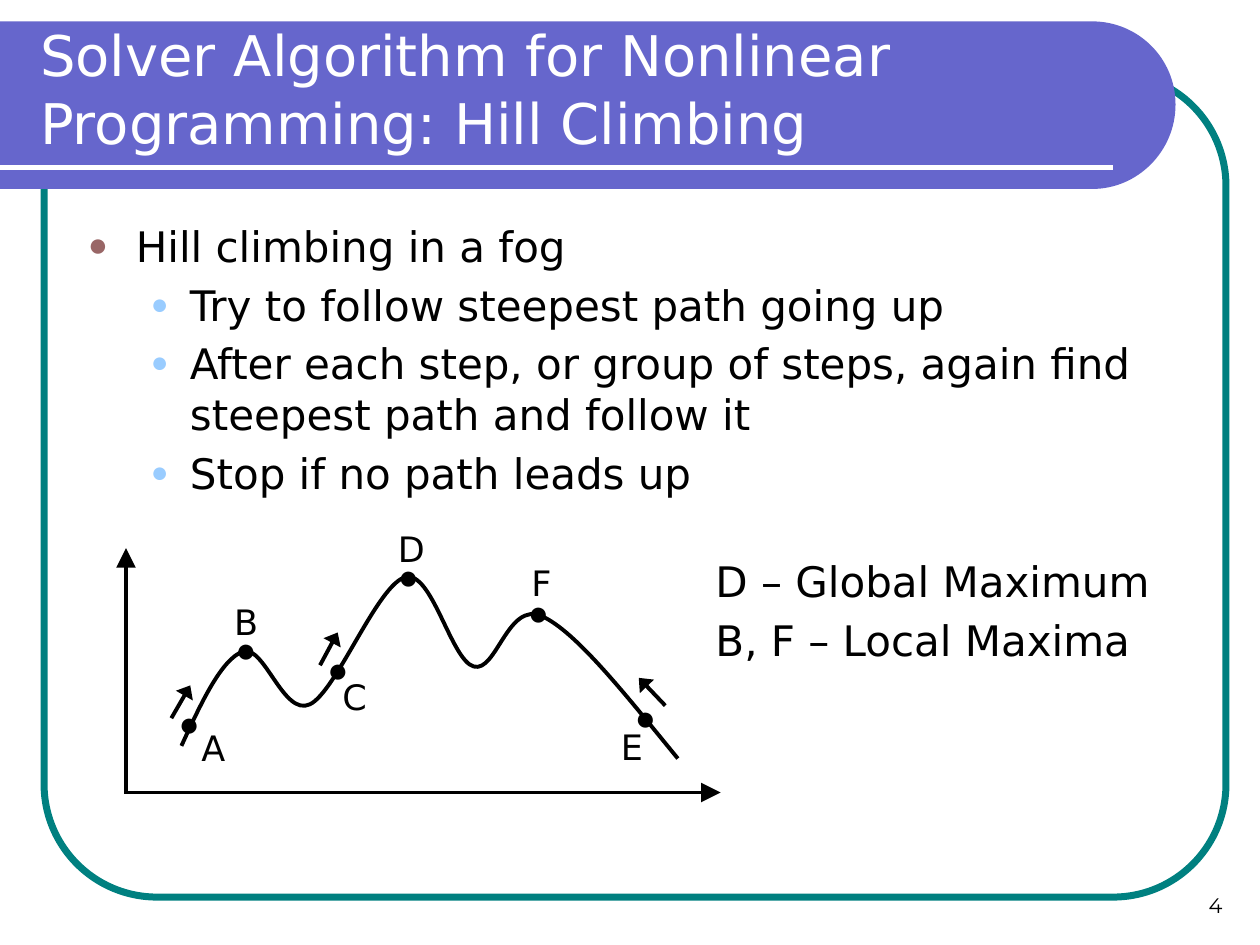
import dataclasses

import pptx
import pptx.dml.color
import pptx.enum.shapes
import pptx.enum.text
import pptx.oxml
import pptx.oxml.ns
import pptx.util
from pptx.util import Inches

ALIGN = pptx.enum.text.PP_ALIGN
ANCHOR = pptx.enum.text.MSO_ANCHOR


@dataclasses.dataclass(frozen=True)
class Theme:
    font: str = "DejaVu Sans"
    number_font: str = "Montserrat"
    dot_font: str = "Times New Roman"
    ink: str = "000000"
    white: str = "FFFFFF"
    banner: str = "6666CC"
    frame: str = "008080"
    bullet: str = "996666"
    sub_bullet: str = "99CCFF"
    title: float = 32
    body: float = 24
    label: float = 20
    number: float = 12
    gap: float = 4.8
    stroke: float = 2.25


def rgb(value):
    return pptx.dml.color.RGBColor.from_string(value)


class Deck:
    """Holds the theme and the current slide, and draws each kind of element."""

    def __init__(self, theme):
        self.theme = theme
        self.prs = pptx.Presentation()
        self.prs.slide_width, self.prs.slide_height = Inches(10), Inches(7.5)
        self.s = self.prs.slides.add_slide(self.prs.slide_layouts[6])

    def paint(self, sp, fill=None, line=None, width=None):
        sp.shadow.inherit = False
        if fill:
            sp.fill.solid()
            sp.fill.fore_color.rgb = rgb(fill)
        else:
            sp.fill.background()
        if line:
            sp.line.color.rgb = rgb(line)
            sp.line.width = pptx.util.Pt(width)
        else:
            sp.line.fill.background()

    def rounded(self, box, radius, line, width):
        kind = pptx.enum.shapes.MSO_SHAPE.ROUNDED_RECTANGLE
        sp = self.s.shapes.add_shape(kind, *map(Inches, box))
        sp.adjustments[0] = radius
        self.paint(sp, line=line, width=width)

    def curve(self, start, curves, end=(), close=False, **style):
        points = [point for curve in curves for point in curve]
        emu = [(Inches(x), Inches(y)) for x, y in [*start, *points, *end]]
        builder = self.s.shapes.build_freeform(*emu[0])
        builder.add_line_segments(emu[1:], close=close)
        sp = builder.convert_to_shape()
        lines = list(sp._element.iter(pptx.oxml.ns.qn("a:lnTo")))
        first = len(start) - 1
        for i in range(first, first + len(points), 3):
            bend = pptx.oxml.parse_xml(
                f'<a:cubicBezTo {pptx.oxml.ns.nsdecls("a")}/>')
            lines[i].addprevious(bend)
            for node in lines[i:i + 3]:
                bend.append(node[0])
                node.getparent().remove(node)
        self.paint(sp, **style)

    def line(self, start, end, color, width, head=None):
        kind = pptx.enum.shapes.MSO_CONNECTOR.STRAIGHT
        c = self.s.shapes.add_connector(kind, *map(Inches, start + end))
        c.line.color.rgb = rgb(color)
        c.line.width = pptx.util.Pt(width)
        if head:
            self.element(c.line._get_or_add_ln(), "tailEnd",
                         type="triangle", w="lg", len=head)
        self.element(c._element.spPr, "effectLst")

    def element(self, parent, tag, **attributes):
        child = pptx.oxml.parse_xml(f'<a:{tag} {pptx.oxml.ns.nsdecls("a")}/>')
        for name, value in attributes.items():
            child.set(name, value)
        parent.append(child)
        return child

    def text(self, box, lines, size, color=None, font=None, align=ALIGN.LEFT,
             anchor=ANCHOR.TOP, grow=False):
        sp = self.s.shapes.add_textbox(*map(Inches, box))
        tf = sp.text_frame
        tf.text = lines
        tf.word_wrap = True
        tf.vertical_anchor = anchor
        if grow:
            tf.auto_size = pptx.enum.text.MSO_AUTO_SIZE.SHAPE_TO_FIT_TEXT
        for i, p in enumerate(tf.paragraphs):
            p.alignment = align
            if i:
                p.space_before = pptx.util.Pt(self.theme.gap)
            for r in p.runs:
                r.font.size = pptx.util.Pt(size)
                r.font.name = font or self.theme.font
                r.font.color.rgb = rgb(color or self.theme.ink)
        return tf

    def bullet(self, p, level, margin, hang, color, percent):
        p.level = level
        pPr = p._p.get_or_add_pPr()
        pPr.set("marL", str(Inches(margin)))
        pPr.set("indent", str(-Inches(hang)))
        self.element(self.element(pPr, "buClr"), "srgbClr", val=color)
        self.element(pPr, "buSzPct", val=str(percent * 1000))
        self.element(pPr, "buFont", typeface=self.theme.dot_font)
        self.element(pPr, "buChar", char="●")


th = Theme()
deck = Deck(th)

deck.rounded((0.35, 0.58, 9.38, 6.54), 0.137, th.frame, 4)
deck.curve([(0, 0.17), (8.67, 0.17)],
           [((9.03, 0.17), (9.33, 0.46), (9.33, 0.83)),
            ((9.33, 1.2), (9.03, 1.5), (8.67, 1.5))],
           [(0, 1.5)], close=True, fill=th.banner)
deck.line((0, 1.33), (8.83, 1.33), th.white, 3)
deck.text((7.47, 6.83, 2.33, 0.5), "4", th.number, font=th.number_font,
          align=ALIGN.RIGHT, anchor=ANCHOR.BOTTOM)
deck.text((0.22, 0.03, 8.07, 1.34),
          "Solver Algorithm for Nonlinear Programming: Hill Climbing",
          th.title, th.white, anchor=ANCHOR.MIDDLE)

body = deck.text((0.6, 1.7, 8.7, 4.24), "\n".join((
    "Hill climbing in a fog",
    "Try to follow steepest path going up",
    "After each step, or group of steps, again find steepest path and follow it",
    "Stop if no path leads up")), th.body)
deck.bullet(body.paragraphs[0], 0, 0.38, 0.38, th.bullet, 80)
for p in body.paragraphs[1:]:
    deck.bullet(p, 1, 0.81, 0.31, th.sub_bullet, 70)

axes = [((1, 6.29), (5.72, 6.29)), ((1, 6.3), (1, 4.35))]
climbs = [((2.54, 5.28), (2.68, 5.02)), ((1.36, 5.7), (1.51, 5.44)),
          ((5.28, 5.6), (5.07, 5.38))]
for head, arrows in (("lg", axes), ("med", climbs)):
    for start, end in arrows:
        deck.line(start, end, th.ink, th.stroke, head)

deck.curve([(1.44, 5.92)],
           [((1.6, 5.57), (1.76, 5.23), (1.93, 5.17)),
            ((2.1, 5.12), (2.25, 5.69), (2.46, 5.59)),
            ((2.67, 5.49), (3, 4.63), (3.22, 4.58)),
            ((3.43, 4.53), (3.58, 5.24), (3.76, 5.29)),
            ((3.94, 5.34), (4.03, 4.77), (4.3, 4.89)),
            ((4.57, 5.01), (4.97, 5.52), (5.38, 6.02))],
           line=th.ink, width=th.stroke)

stops = {"A": ((1.32, 5.52), (1.5, 5.72)), "B": ((1.77, 4.93), (1.76, 4.72)),
         "C": ((2.5, 5.09), (2.62, 5.31)), "D": ((3.06, 4.35), (3.06, 4.14)),
         "E": ((4.94, 5.47), (4.83, 5.71)), "F": ((4.09, 4.64), (4.12, 4.41))}
for name, (dot, label) in stops.items():
    deck.text(dot + (0.35, 0.43), "●", th.label, font=th.dot_font, grow=True)
    deck.text(label + (0.4, 0.43), name, th.label, grow=True)

deck.text((5.58, 4.36, 3.82, 0.98), "D – Global Maximum\nB, F – Local Maxima",
          th.body, grow=True)

deck.prs.save("out.pptx")
